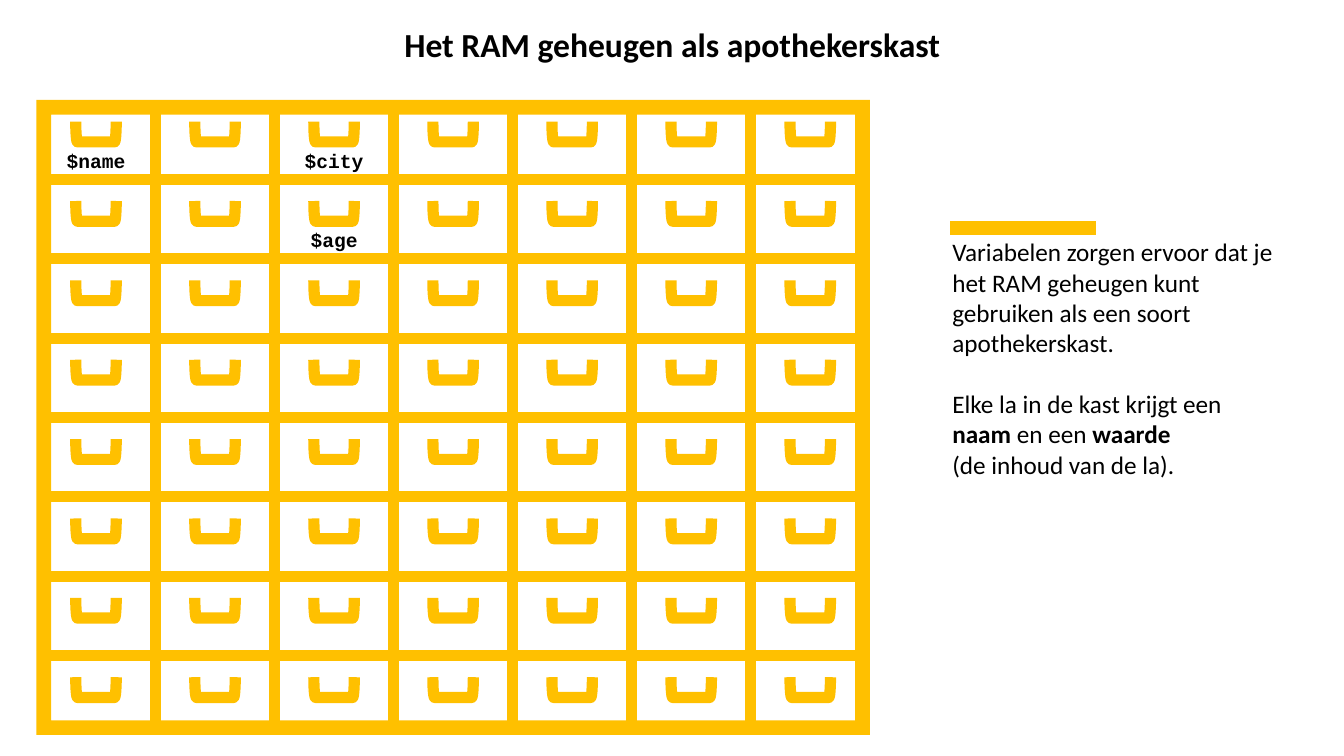
from dataclasses import dataclass

from lxml import etree
from pptx import Presentation
from pptx.dml.color import RGBColor
from pptx.enum.shapes import MSO_CONNECTOR, MSO_SHAPE
from pptx.enum.text import MSO_ANCHOR, MSO_AUTO_SIZE, PP_ALIGN
from pptx.oxml.ns import qn
from pptx.util import Cm, Pt

STRAIGHT = MSO_CONNECTOR.STRAIGHT
FRAME, BRACKET = MSO_SHAPE.FRAME, MSO_SHAPE.LEFT_BRACKET
TOP = MSO_ANCHOR.TOP
FIT = MSO_AUTO_SIZE.SHAPE_TO_FIT_TEXT
LEFT, CENTER = PP_ALIGN.LEFT, PP_ALIGN.CENTER


@dataclass(frozen=True)
class Theme:
    """Colours, fonts, type sizes and line widths."""
    accent: RGBColor = RGBColor(0xFF, 0xC0, 0x00)
    ink: RGBColor = RGBColor(0, 0, 0)
    font: str = "Calibri"
    code_font: str = "Courier New"
    title: Pt = Pt(24)
    body: Pt = Pt(18)
    label: Pt = Pt(14)
    paragraph_gap: Pt = Pt(22)
    shelf: Pt = Pt(8)
    bar: Pt = Pt(10)


THEME = Theme()
COLUMNS, ROWS = 7, 8
DRAWER_NAMES = {(0, 0): "$name", (2, 1): "$age", (2, 0): "$city"}
EXPLANATION = [
    ["Variabelen zorgen ervoor dat je het RAM geheugen kunt"],
    ["gebruiken als een soort apothekerskast."],
    ["Elke la in de kast krijgt een"],
    ["naam", " en een ", "waarde"],
    ["(de inhoud van de la)."],
]
BOLD_WORDS = {"naam", "waarde"}
NEW_BLOCK = 2


def add_line(shapes, x1, y1, x2, y2, width):
    """Draw a straight accent line without shadow."""
    line = shapes.add_connector(STRAIGHT, Cm(x1), Cm(y1), Cm(x2), Cm(y2))
    line.line.color.rgb = THEME.accent
    line.line.width = width
    etree.SubElement(line._element.spPr, qn("a:effectLst"))


def add_text(shapes, box, paragraphs, size, font, wrap=False, align=LEFT, bold=False):
    """Add a text box and return its text frame."""
    tf = shapes.add_textbox(*map(Cm, box)).text_frame
    tf.word_wrap, tf.auto_size, tf.vertical_anchor = wrap, FIT, TOP
    for i, runs in enumerate(paragraphs):
        p = tf.add_paragraph() if i else tf.paragraphs[0]
        p.alignment = align
        p.font.name, p.font.size, p.font.bold = font, size, bold
        p.font.color.rgb = THEME.ink
        for text in runs:
            r = p.add_run()
            r.text = text
            if text in BOLD_WORDS:
                r.font.bold = True
    return tf


def add_handle(shapes, center_x, center_y):
    """Draw a drawer handle as a bracket lying on its back."""
    width, height = 0.51, 1.02
    sp = shapes.add_shape(BRACKET, Cm(center_x - width / 2), Cm(center_y - height / 2),
                          Cm(width), Cm(height))
    sp.rotation = 270
    sp.shadow.inherit = False
    sp.fill.background()
    sp.line.color.rgb = THEME.accent
    sp.line.width = THEME.shelf


def add_cabinet(s, left, top, width, height):
    """Build the cabinet with shelves, handles and named drawers."""
    shapes = s.shapes.add_group_shape().shapes
    cell_w, cell_h = width / COLUMNS, height / ROWS
    frame = shapes.add_shape(FRAME, Cm(left), Cm(top), Cm(width), Cm(height))
    frame.adjustments[0] = 0.023
    frame.shadow.inherit = False
    frame.fill.solid()
    frame.fill.fore_color.rgb = THEME.accent
    frame.line.fill.background()
    for row in range(1, ROWS):
        y = top + row * cell_h
        add_line(shapes, left, y, left + width, y, THEME.shelf)
    for column in range(1, COLUMNS):
        x = left + column * cell_w
        add_line(shapes, x, top, x, top + height, THEME.shelf)
    for row in range(ROWS):
        for column in range(COLUMNS):
            add_handle(shapes, left + (column + 0.5) * cell_w, top + (row + 0.4) * cell_h)
    for (column, row), name in DRAWER_NAMES.items():
        box = (left + column * cell_w + 0.5, top + row * cell_h + 1.1, cell_w - 1, 0.86)
        add_text(shapes, box, [[name]], THEME.label, THEME.code_font,
                 align=CENTER, bold=True)


def add_title(s, left, top, width, height):
    """Place the centred slide title."""
    add_text(s.shapes, (left, top, width, height),
             [["Het RAM geheugen als apothekerskast"]], THEME.title, THEME.font,
             align=CENTER, bold=True)


def add_explanation(s, left, top, width, height):
    """Place the explanation under its short accent bar."""
    tf = add_text(s.shapes, (left, top, width, height), EXPLANATION,
                  THEME.body, THEME.font, wrap=True)
    tf.paragraphs[NEW_BLOCK].space_before = THEME.paragraph_gap
    add_line(s.shapes, left + 0.2, top - 0.1, left + 3.88, top - 0.1, THEME.bar)


def main():
    """Build and save the slide."""
    prs = Presentation()
    prs.slide_width, prs.slide_height = Cm(33.87), Cm(19.05)
    s = prs.slides.add_slide(prs.slide_layouts[6])
    add_cabinet(s, 0.92, 2.52, 21, 16)
    add_title(s, 9.86, 0.48, 14.17, 1.27)
    add_explanation(s, 23.75, 5.84, 9.2, 6.4)
    prs.save("out.pptx")


main()
